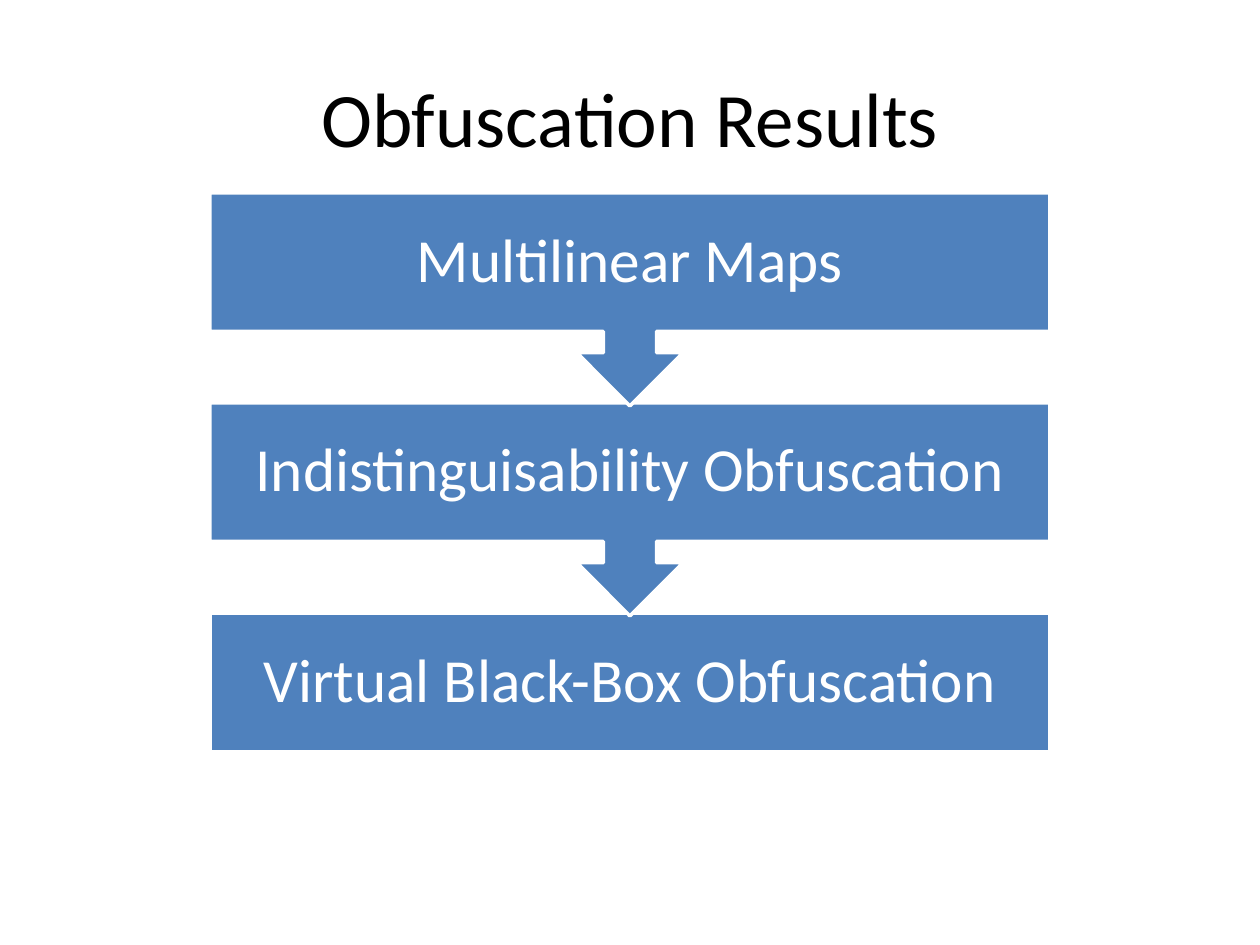
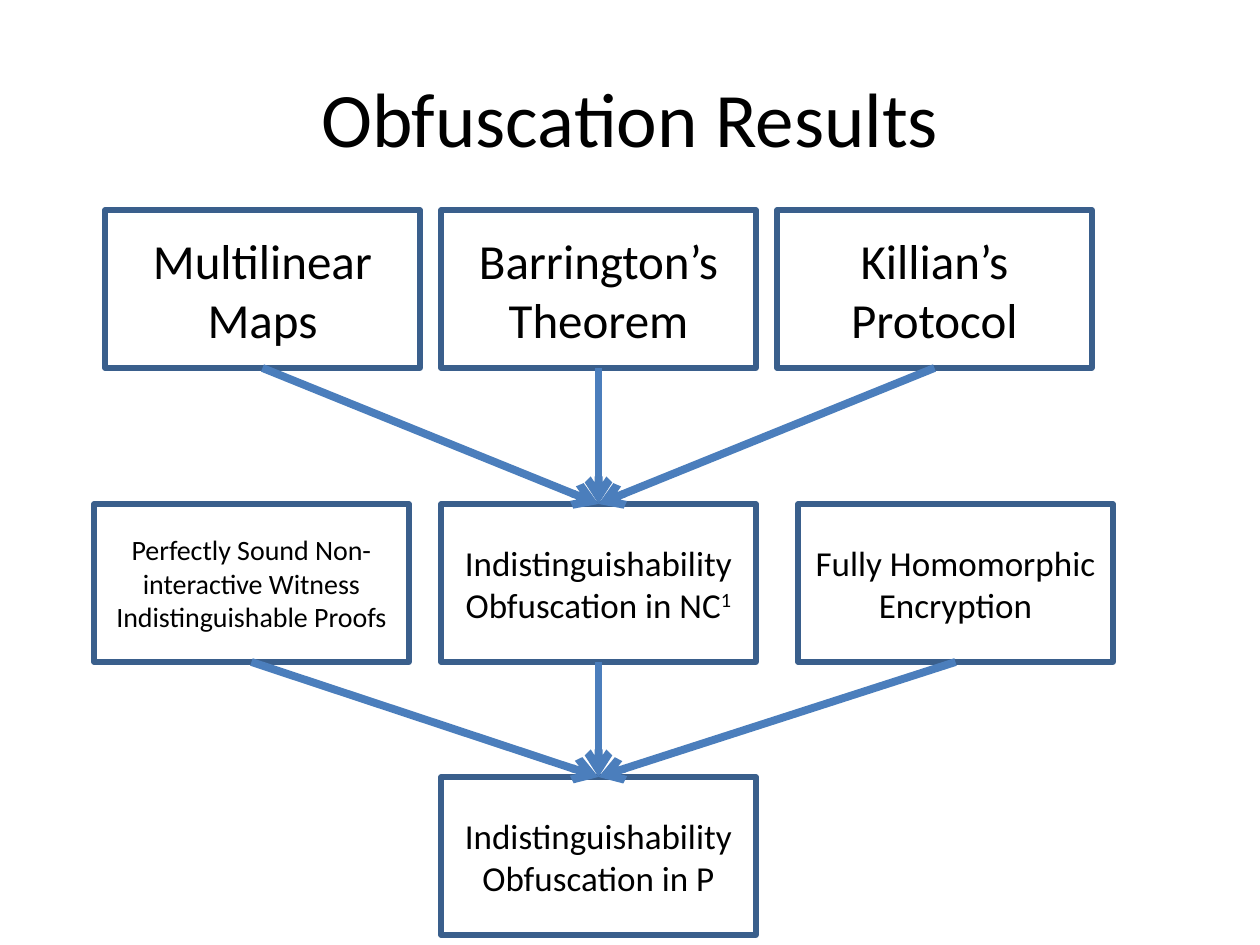
from lxml import etree
from pptx import Presentation
from pptx.dml.color import RGBColor
from pptx.enum.shapes import MSO_CONNECTOR, MSO_SHAPE
from pptx.enum.text import MSO_ANCHOR, PP_ALIGN
from pptx.oxml.ns import qn
from pptx.util import Pt

RECT, CALL = MSO_SHAPE.RECTANGLE, MSO_SHAPE.DOWN_ARROW_CALLOUT
LINE = MSO_CONNECTOR.STRAIGHT
MID, MIDDLE = PP_ALIGN.CENTER, MSO_ANCHOR.MIDDLE
BLACK = RGBColor(0x00, 0x00, 0x00)
WHITE = RGBColor(0xFF, 0xFF, 0xFF)
BLUE = RGBColor(0x4F, 0x81, 0xBD)
EDGE = RGBColor(0x3A, 0x5F, 0x8C)
ARROW = RGBColor(0x4B, 0x7E, 0xBC)
FONT = "Calibri"

# Content
TITLE = "Obfuscation Results"
STEPS = ["Multilinear Maps", "Indistinguisability Obfuscation",
         "Virtual Black-Box Obfuscation"]
# Each row: top, then boxes of left, size, text, superscript
ROWS = [
    (210, [(105, 28, "Multilinear Maps", ""),
           (441, 28, "Barrington’s Theorem", ""),
           (777, 28, "Killian’s Protocol", "")]),
    (504, [(94, 20 - 4, "Perfectly Sound Non-interactive Witness "
                        "Indistinguishable Proofs", ""),
           (441, 20, "Indistinguishability Obfuscation in NC", "1"),
           (798, 20, "Fully Homomorphic Encryption", "")]),
    (777, [(441, 20, "Indistinguishability Obfuscation in P", "")]),
]
HUB = 441  # left of the boxes that the arrows lead to

# Sizes in px
WIDE, HIGH = 1260, 945
TITLE_AT = (63, 38, 1134, 158)
STEP_X, STEP_Y, STEP_W, STEP_GAP = 210, 193, 840, 210
STEP_H, CALL_H, STEP_PAD = 139, 213, 34
BOX_W, BOX_H = 315, 158


def emu(px):
    return round(px * 914400 / 126)


def write(shape, text, size, color, sup="", pad=None, space=None):
    frame = shape.text_frame
    look = {"word_wrap": True, "vertical_anchor": MIDDLE}
    if pad is not None:
        for side in ("left", "top", "right", "bottom"):
            look[f"margin_{side}"] = emu(pad)
    for key, val in look.items():
        setattr(frame, key, val)
    para = frame.paragraphs[0]
    para.alignment = MID
    para.line_spacing = space
    for part in filter(None, (text, sup)):
        run = para.add_run()
        run.text = part
        for key, val in {"name": FONT, "size": Pt(size)}.items():
            setattr(run.font, key, val)
        run.font.color.rgb = color
    if sup:
        run._r.get_or_add_rPr().set("baseline", "30000")


def block(slide, kind, at, fill, edge, width):
    shape = slide.shapes.add_shape(kind, *map(emu, at))
    shape.shadow.inherit = False
    if fill is None:
        shape.fill.background()
    else:
        shape.fill.solid()
        shape.fill.fore_color.rgb = fill
    shape.line.color.rgb = edge
    shape.line.width = Pt(width)
    return shape


def join(slide, start, end):
    link = slide.shapes.add_connector(LINE, 0, 0, 0, 0)
    link.begin_connect(start, 2)
    link.end_connect(end, 0)
    link.line.color.rgb = ARROW
    link.line.width = Pt(4.5)
    etree.SubElement(link.line._get_or_add_ln(), qn("a:tailEnd"), type="arrow")
    etree.SubElement(link._element.spPr, qn("a:effectLst"))


def start(deck):
    slide = deck.slides.add_slide(deck.slide_layouts[6])
    write(slide.shapes.add_textbox(*map(emu, TITLE_AT)), TITLE, 44, BLACK)
    return slide


def steps(deck):
    slide = start(deck)
    last = len(STEPS) - 1
    # Bottom step first, so each arrow tip lies over the next step
    for i in range(last, -1, -1):
        kind, high = (RECT, STEP_H) if i == last else (CALL, CALL_H)
        at = (STEP_X, STEP_Y + i * STEP_GAP, STEP_W, high)
        shape = block(slide, kind, at, BLUE, WHITE, 2)
        write(shape, STEPS[i], 35, WHITE, pad=STEP_PAD, space=0.9)


def tree(deck):
    slide = start(deck)
    above = []
    for top, boxes in ROWS:
        row = {}
        for left, size, text, sup in boxes:
            at = (left, top, BOX_W, BOX_H)
            row[left] = block(slide, RECT, at, None, EDGE, 3)
            write(row[left], text, size, BLACK, sup)
        # Every box of the row above leads to the hub
        for shape in above:
            join(slide, shape, row[HUB])
        above = list(row.values())


def main():
    deck = Presentation()
    deck.slide_width, deck.slide_height = emu(WIDE), emu(HIGH)
    steps(deck)
    tree(deck)
    deck.save("out.pptx")


if __name__ == "__main__":
    main()
